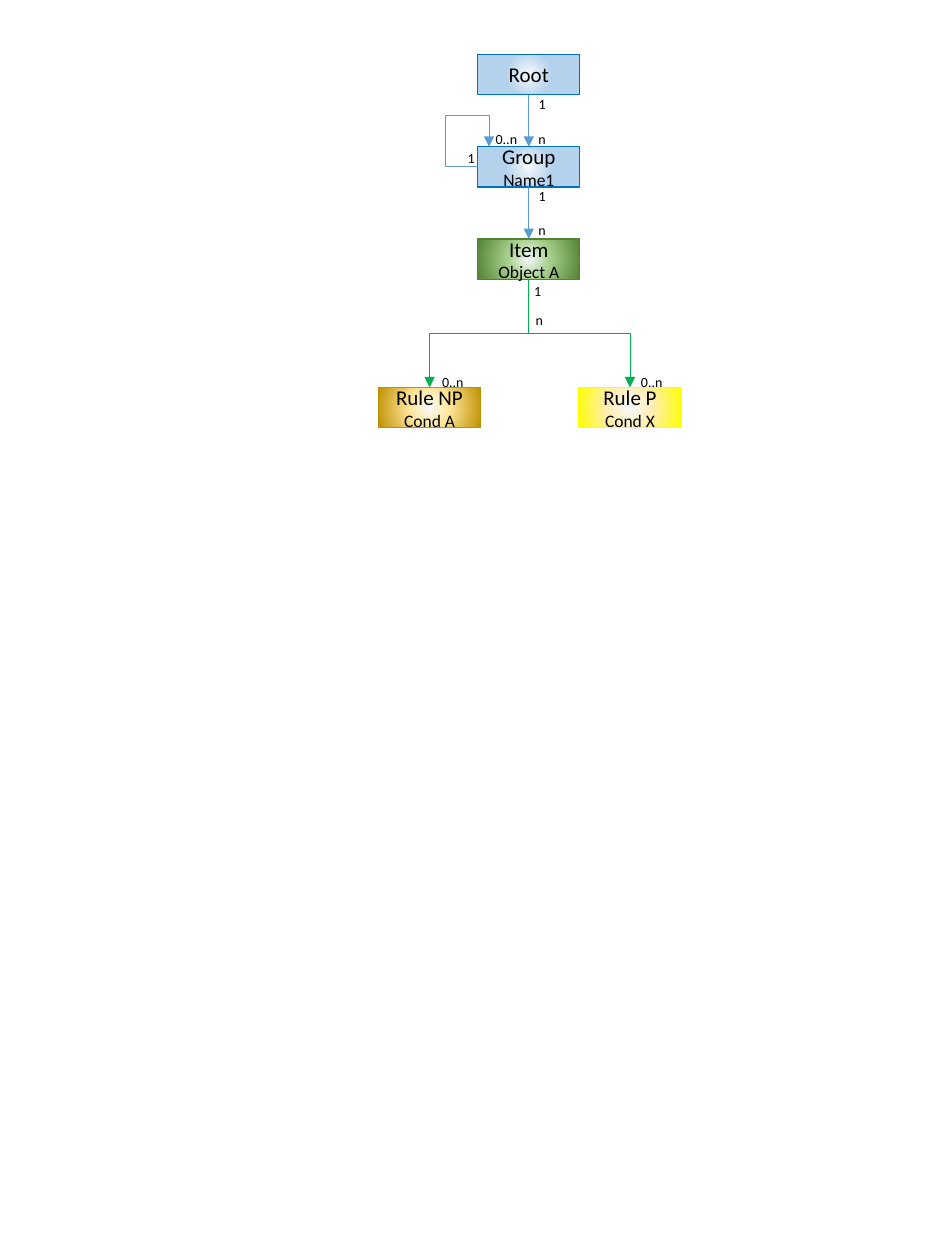
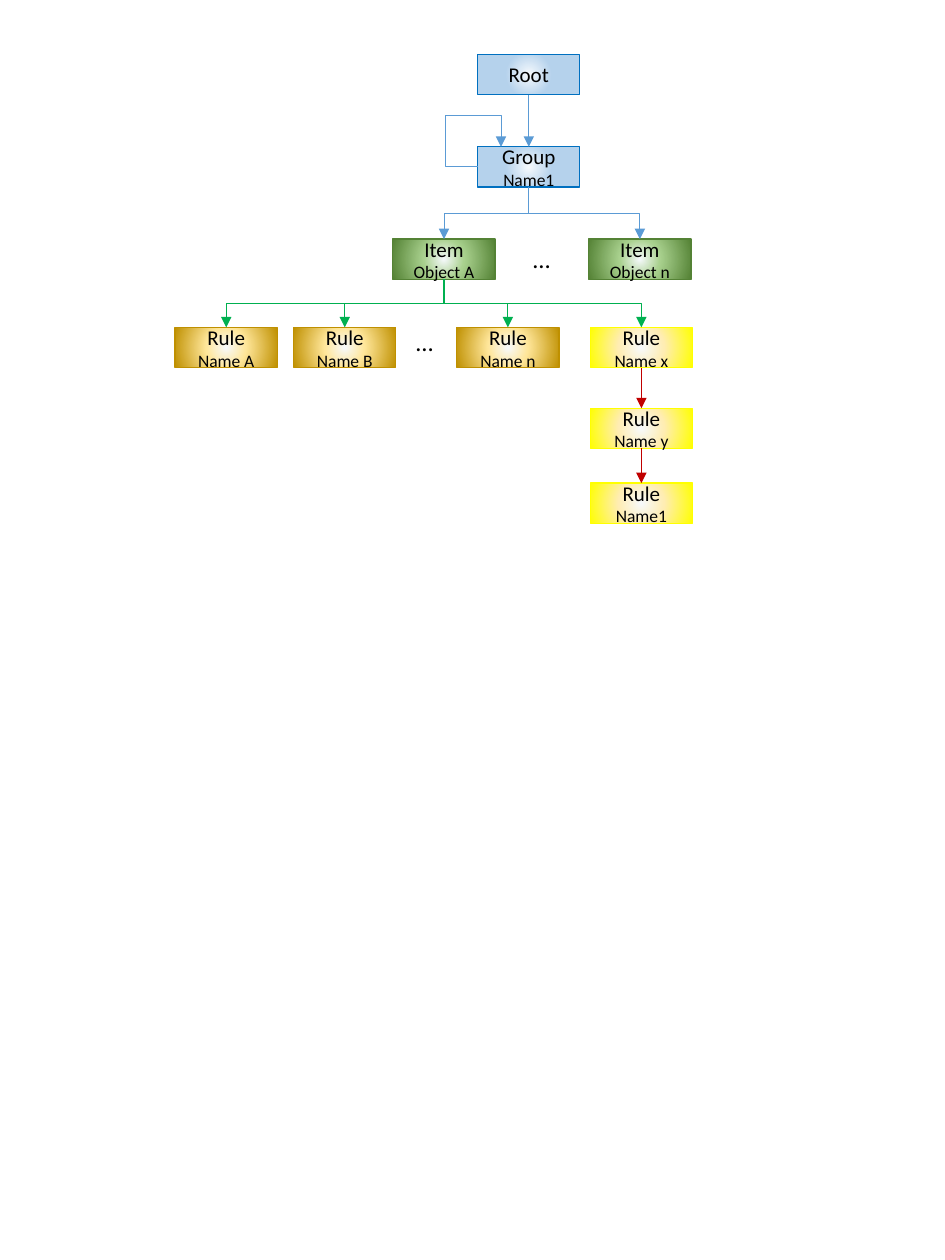
import dataclasses

import lxml.etree
import pptx
import pptx.dml.color
import pptx.enum.shapes
import pptx.enum.text
import pptx.oxml
import pptx.oxml.ns
import pptx.shapes.autoshape
import pptx.shapes.connector
import pptx.slide
import pptx.util

Cm = pptx.util.Cm
qn = pptx.oxml.ns.qn

FONT = "Calibri"
COLOURS = {
    "text": "000000",
    "glow": "F7FAFD",
    "sky": "B5D2EC",
    "blue": "0070C0",
    "leaf": "A9D18E",
    "green": "548235",
    "sand": "FFE699",
    "gold": "BF9000",
    "cream": "FFEDB3",
    "yellow": "FFFF00",
    "blue arrow": "5B9BD5",
    "green arrow": "00B050",
    "red arrow": "C00000",
}
BOX_WIDTH, BOX_HEIGHT = 2.06, 0.81
AXIS = 10.66
ROOT_TOP, GROUP_TOP, ITEM_TOP = 1.1, 2.96, 4.82
LOOP_REACH = 0.64
TOP_SITE, BOTTOM_SITE = 0, 2


@dataclasses.dataclass(frozen=True)
class Style:
    middle: str
    middle_stop: int
    edge: str
    line: str


@dataclasses.dataclass(frozen=True)
class Node:
    title: str
    name: str
    style: Style
    centre: float
    top: float


@dataclasses.dataclass(frozen=True)
class Label:
    text: str
    centre: float
    middle: float
    width: float = 0.66
    height: float = 0.61
    size: int = 8


BLUE = Style("sky", 43, "sky", "blue")
GREEN = Style("leaf", 37, "green", "green")
GOLD = Style("sand", 37, "gold", "gold")
YELLOW = Style("cream", 42, "yellow", "yellow")

Box = pptx.shapes.autoshape.Shape
Connector = pptx.shapes.connector.Connector
Slide = pptx.slide.Slide


def colour(name: str) -> pptx.dml.color.RGBColor:
    return pptx.dml.color.RGBColor.from_string(COLOURS[name])


def write_lines(box: Box, lines: list[str], sizes: list[int]) -> None:
    frame = box.text_frame
    frame.vertical_anchor = pptx.enum.text.MSO_ANCHOR.MIDDLE
    frame.text = "\n".join(lines)
    for para, size in zip(frame.paragraphs, sizes):
        para.alignment = pptx.enum.text.PP_ALIGN.CENTER
        for span in para.runs:
            span.font.name = FONT
            span.font.size = pptx.util.Pt(size)
            span.font.color.rgb = colour("text")


def fill_radial(box: Box, style: Style) -> None:
    box.fill.background()
    stops = [(0, "glow"), (style.middle_stop, style.middle), (100, style.edge)]
    gradient = lxml.etree.Element(qn("a:gradFill"))
    stop_list = lxml.etree.SubElement(gradient, qn("a:gsLst"))
    for position, name in stops:
        stop = lxml.etree.SubElement(stop_list, qn("a:gs"), pos=str(position * 1000))
        lxml.etree.SubElement(stop, qn("a:srgbClr"), val=COLOURS[name])
    shading = lxml.etree.SubElement(gradient, qn("a:path"), {"path": "circle"})
    centre = {side: "50000" for side in "ltrb"}
    lxml.etree.SubElement(shading, qn("a:fillToRect"), centre)
    properties = box.element.spPr
    properties.replace(properties.find(qn("a:noFill")), gradient)


def draw_node(page: Slide, node: Node) -> Box:
    box = page.shapes.add_shape(
        pptx.enum.shapes.MSO_SHAPE.RECTANGLE,
        Cm(node.centre - BOX_WIDTH / 2), Cm(node.top),
        Cm(BOX_WIDTH), Cm(BOX_HEIGHT),
    )
    box.shadow.inherit = False
    fill_radial(box, node.style)
    box.line.color.rgb = colour(node.style.line)
    box.line.width = pptx.util.Pt(0.75)
    write_lines(box, [line for line in (node.title, node.name) if line], [12, 10])
    return box


def draw_label(page: Slide, label: Label) -> None:
    box = page.shapes.add_textbox(
        Cm(label.centre - label.width / 2), Cm(label.middle - label.height / 2),
        Cm(label.width), Cm(label.height),
    )
    box.text_frame.word_wrap = False
    box.text_frame.auto_size = pptx.enum.text.MSO_AUTO_SIZE.SHAPE_TO_FIT_TEXT
    write_lines(box, [label.text], [label.size])


def format_arrow(arrow: Connector, colour_name: str) -> None:
    arrow.line.color.rgb = colour(colour_name)
    arrow.line.width = pptx.util.Pt(0.5)
    properties = arrow.element.spPr
    lxml.etree.SubElement(properties.find(qn("a:ln")), qn("a:tailEnd"), type="triangle")
    lxml.etree.SubElement(properties, qn("a:effectLst"))


def turn(arrow: Connector, degrees: int, flipped: bool) -> None:
    transform = arrow.element.spPr.find(qn("a:xfrm"))
    transform.set("rot", str(degrees * 60000))
    transform.set("flipH", str(int(flipped)))
    transform.set("flipV", "0")


def link(page: Slide, parent: Box, child: Box, colour_name: str) -> None:
    start_x, end_x = (box.left + box.width // 2 for box in (parent, child))
    start_y, end_y = parent.top + parent.height, child.top
    straight = start_x == end_x
    kinds = pptx.enum.shapes.MSO_CONNECTOR
    arrow = page.shapes.add_connector(
        kinds.STRAIGHT if straight else kinds.ELBOW, start_x, start_y, end_x, end_y
    )
    arrow.begin_connect(parent, BOTTOM_SITE)
    arrow.end_connect(child, TOP_SITE)
    if not straight:
        drop, shift = end_y - start_y, abs(end_x - start_x)
        arrow.left = (start_x + end_x - drop) // 2
        arrow.top = (start_y + end_y - shift) // 2
        arrow.width, arrow.height = drop, shift
        rightward = end_x > start_x
        turn(arrow, 270 if rightward else 90, rightward)
    format_arrow(arrow, colour_name)


def draw_loop(page: Slide, group: Box, width: float) -> None:
    height = BOX_HEIGHT / 2
    arrow = page.shapes.add_connector(
        pptx.enum.shapes.MSO_CONNECTOR.ELBOW,
        group.left, group.top, group.left + Cm(width), group.top + Cm(height),
    )
    turn(arrow, 180, True)
    geometry = arrow.element.spPr.find(qn("a:prstGeom"))
    geometry.set("prst", "bentConnector4")
    guides = geometry.find(qn("a:avLst"))
    ratios = {"adj1": -LOOP_REACH / width, "adj2": 1 + LOOP_REACH / height}
    for name, ratio in ratios.items():
        formula = f"val {round(ratio * 100000)}"
        lxml.etree.SubElement(guides, qn("a:gd"), name=name, fmla=formula)
    format_arrow(arrow, "blue arrow")


def draw_trunk(page: Slide, loop_width: float) -> Box:
    root = draw_node(page, Node("Root", "", BLUE, AXIS, ROOT_TOP))
    group = draw_node(page, Node("Group", "Name1", BLUE, AXIS, GROUP_TOP))
    link(page, root, group, "blue arrow")
    draw_loop(page, group, loop_width)
    return group


def draw_branches(
    page: Slide, parent: Box, nodes: list[Node], colour_name: str
) -> list[Box]:
    boxes = [draw_node(page, node) for node in nodes]
    for box in boxes:
        link(page, parent, box, colour_name)
    return boxes


def build_model(page: Slide) -> None:
    group = draw_trunk(page, 0.23)
    items = [Node("Item", "Object A", GREEN, AXIS, ITEM_TOP)]
    item = draw_branches(page, group, items, "blue arrow")[0]
    rules = [
        Node("Rule NP", "Cond A", GOLD, AXIS - 2, 7.81),
        Node("Rule P", "Cond X", YELLOW, AXIS + 2.04, 7.81),
    ]
    draw_branches(page, item, rules, "green arrow")
    range_width = 0.95
    labels = [
        Label("1", 10.93, 2.1),
        Label("n", 10.93, 2.81),
        Label("1", 9.5, 3.18),
        Label("0..n", 10.21, 2.81, range_width),
        Label("1", 10.93, 3.94),
        Label("n", 10.93, 4.64),
        Label("1", 10.84, 5.87),
        Label("n", 10.87, 6.45),
        Label("0..n", 9.13, 7.69, range_width),
        Label("0..n", 13.14, 7.69, range_width),
    ]
    for label in labels:
        draw_label(page, label)


def build_example(page: Slide) -> None:
    group = draw_trunk(page, 0.47)
    items = [
        Node("Item", "Object A", GREEN, 8.95, ITEM_TOP),
        Node("Item", "Object n", GREEN, 12.9, ITEM_TOP),
    ]
    first_item = draw_branches(page, group, items, "blue arrow")[0]
    rule_top, chain_centre = 6.6, 12.93
    rules = [
        Node("Rule", "Name A", GOLD, 4.56, rule_top),
        Node("Rule", "Name B", GOLD, 6.95, rule_top),
        Node("Rule", "Name n", GOLD, 10.24, rule_top),
        Node("Rule", "Name x", YELLOW, chain_centre, rule_top),
    ]
    last_rule = draw_branches(page, first_item, rules, "green arrow")[-1]
    for name, top in [("Name y", 8.23), ("Name1", 9.74)]:
        node = Node("Rule", name, YELLOW, chain_centre, top)
        last_rule = draw_branches(page, last_rule, [node], "red arrow")[0]
    for centre, middle in [(10.92, 5.21), (8.56, 6.88)]:
        draw_label(page, Label("…", centre, middle, 0.86, 0.86, 14))


deck = pptx.Presentation()
deck.slide_width, deck.slide_height = Cm(19.05), Cm(25.4)
blank_layout = deck.slide_layouts[6]
for build in (build_model, build_example):
    build(deck.slides.add_slide(blank_layout))
deck.save("out.pptx")
